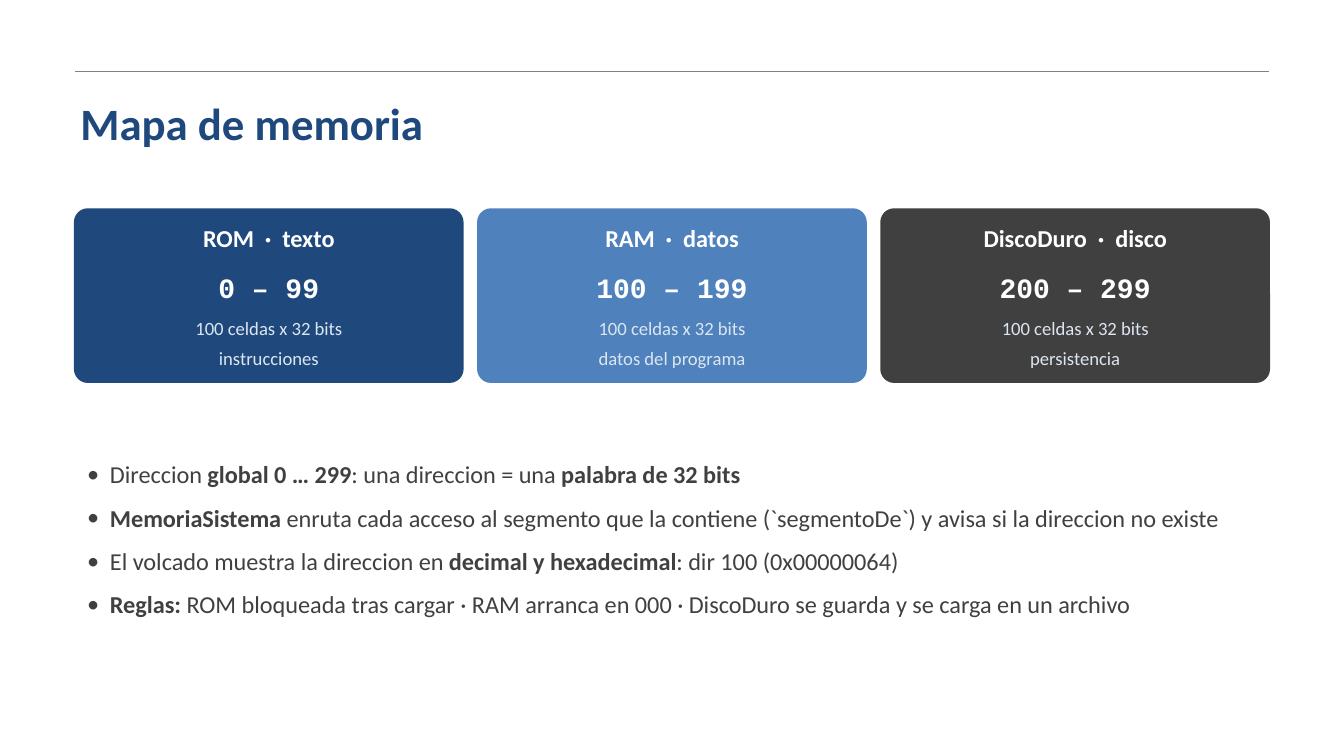
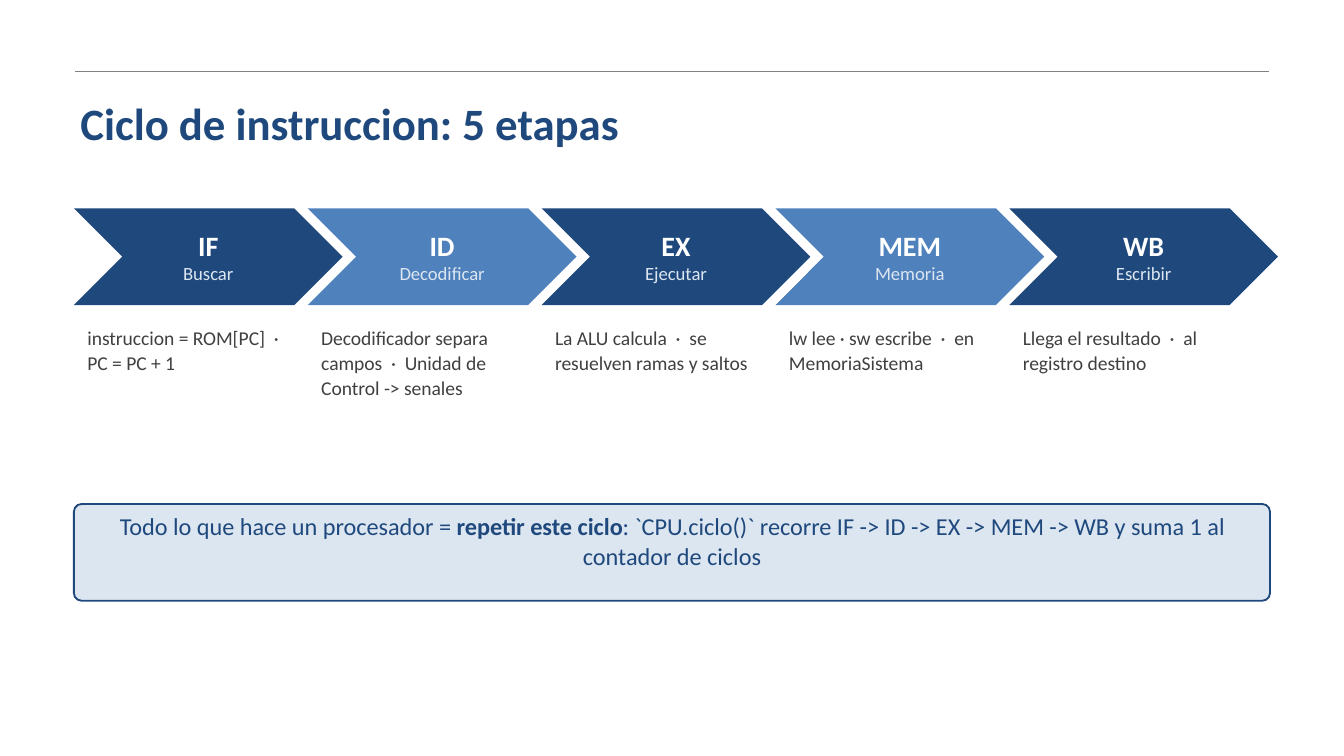
"""Build two slides on the memory map and the instruction cycle of a processor."""
from dataclasses import dataclass

import lxml.etree
import pptx
import pptx.dml.color
import pptx.enum.shapes
import pptx.enum.text
import pptx.oxml.ns
import pptx.presentation
import pptx.shapes.autoshape
import pptx.slide
import pptx.text.text
import pptx.util

Inches = pptx.util.Inches
Pt = pptx.util.Pt
Align = pptx.enum.text.PP_ALIGN
Anchor = pptx.enum.text.MSO_ANCHOR
Preset = pptx.enum.shapes.MSO_SHAPE


@dataclass(frozen=True)
class Theme:
    """Colours, fonts and type sizes of both slides."""

    navy: str = "1F497D"
    blue: str = "4F81BD"
    pale: str = "DCE6F1"
    dark: str = "404040"
    grey: str = "808080"
    white: str = "FFFFFF"
    sans: str = "Calibri"
    mono: str = "Courier New"
    title: float = 24
    large: float = 15
    body: float = 13
    note: float = 10.5
    small: float = 10


THEME = Theme()


@dataclass(frozen=True)
class Style:
    """Look of the runs and spacing of a paragraph."""

    size: float
    color: str
    bold: bool = False
    font: str = THEME.sans
    align: Align = Align.LEFT
    line: float | pptx.util.Length | None = None
    after: float = 0


@dataclass(frozen=True)
class Box:
    """Place of a shape in inches."""

    left: float
    top: float
    width: float
    height: float

    def lengths(self) -> list[pptx.util.Length]:
        """Return the place as lengths."""
        return [Inches(v) for v in (self.left, self.top, self.width, self.height)]


@dataclass(frozen=True)
class Segment:
    """One segment of the memory map."""

    heading: str
    addresses: str
    purpose: str
    color: str


@dataclass(frozen=True)
class Stage:
    """One stage of the instruction cycle."""

    code: str
    action: str
    detail: str


TITLE = Style(THEME.title, THEME.navy, True, line=Pt(26))
HEADING = Style(THEME.body, THEME.white, True, align=Align.CENTER, line=1.05)
ADDRESSES = Style(THEME.large, THEME.white, True, THEME.mono, Align.CENTER, 1.05)
CAPTION = Style(THEME.small, THEME.pale, align=Align.CENTER, line=1.05)
POINT = Style(THEME.body, THEME.dark, line=1.1, after=6)
CODE = Style(THEME.large, THEME.white, True, align=Align.CENTER)
ACTION = Style(THEME.small, THEME.pale, align=Align.CENTER)
DETAIL = Style(THEME.note, THEME.dark, line=1.05)
SUMMARY = Style(THEME.body, THEME.navy, align=Align.CENTER, after=3)

LEFT, TOP, WIDTH = 0.55, 1.55, 8.9
SEGMENT_STEP = 3
STAGE_STEP = 1.74
BULLET_INDENT = Inches(0.17)

SEGMENTS = (
    Segment("ROM  ·  texto", "0 – 99", "instrucciones", THEME.navy),
    Segment("RAM  ·  datos", "100 – 199", "datos del programa", THEME.blue),
    Segment("DiscoDuro  ·  disco", "200 – 299", "persistencia", THEME.dark),
)
POINTS = (
    "Direccion **global 0 … 299**: una direccion = una **palabra de 32 bits**",
    "**MemoriaSistema** enruta cada acceso al segmento que la contiene "
    "(`segmentoDe`) y avisa si la direccion no existe",
    "El volcado muestra la direccion en **decimal y hexadecimal**: dir 100 (0x00000064)",
    "**Reglas:** ROM bloqueada tras cargar · RAM arranca en 000 · "
    "DiscoDuro se guarda y se carga en un archivo",
)
STAGES = (
    Stage("IF", "Buscar", "instruccion = ROM[PC]  ·  PC = PC + 1"),
    Stage("ID", "Decodificar",
          "Decodificador separa campos  ·  Unidad de Control -> senales"),
    Stage("EX", "Ejecutar", "La ALU calcula  ·  se resuelven ramas y saltos"),
    Stage("MEM", "Memoria", "lw lee · sw escribe  ·  en MemoriaSistema"),
    Stage("WB", "Escribir", "Llega el resultado  ·  al registro destino"),
)
CYCLE = (
    "Todo lo que hace un procesador = **repetir este ciclo**: `CPU.ciclo()` recorre "
    "IF -> ID -> EX -> MEM -> WB y suma 1 al contador de ciclos"
)


def rgb(color: str) -> pptx.dml.color.RGBColor:
    """Turn a hex string into a colour."""
    return pptx.dml.color.RGBColor.from_string(color)


def add_bullet(paragraph: pptx.text.text._Paragraph) -> None:
    """Give a paragraph a hanging bullet."""
    properties = paragraph._p.get_or_add_pPr()
    properties.set("marL", str(BULLET_INDENT))
    properties.set("indent", str(-BULLET_INDENT))
    for tag, attribute, value in (("a:buFont", "typeface", THEME.sans),
                                  ("a:buChar", "char", "•")):
        lxml.etree.SubElement(properties, pptx.oxml.ns.qn(tag)).set(attribute, value)


def write(frame: pptx.text.text.TextFrame, lines: list[tuple[str, Style]],
          bulleted: bool = False) -> None:
    """Fill a frame with styled lines, where ** switches bold."""
    frame.word_wrap = True
    for index, (text, style) in enumerate(lines):
        paragraph = frame.add_paragraph() if index else frame.paragraphs[0]
        if bulleted:
            add_bullet(paragraph)
        paragraph.alignment = style.align
        paragraph.line_spacing = style.line
        paragraph.space_after = Pt(style.after)
        for position, part in enumerate(text.split("**")):
            if not part:
                continue
            run = paragraph.add_run()
            run.text = part
            run.font.name = style.font
            run.font.size = Pt(style.size)
            run.font.bold = style.bold or position % 2 == 1
            run.font.color.rgb = rgb(style.color)


def set_margins(frame: pptx.text.text.TextFrame, side: float, vertical: float) -> None:
    """Set the insets of a frame in inches."""
    frame.margin_left = frame.margin_right = Inches(side)
    frame.margin_top = frame.margin_bottom = Inches(vertical)


def add_label(slide: pptx.slide.Slide, box: Box, text: str, style: Style) -> None:
    """Add a text box without insets."""
    frame = slide.shapes.add_textbox(*box.lengths()).text_frame
    set_margins(frame, 0, 0)
    write(frame, [(text, style)])


def add_panel(slide: pptx.slide.Slide, preset: Preset, box: Box, fill: str,
              outline: str | None = None) -> pptx.shapes.autoshape.Shape:
    """Add a flat filled shape, outlined on request."""
    panel = slide.shapes.add_shape(preset, *box.lengths())
    panel.shadow.inherit = False
    panel.fill.solid()
    panel.fill.fore_color.rgb = rgb(fill)
    if preset == Preset.ROUNDED_RECTANGLE:
        panel.adjustments[0] = 0.08
    if outline:
        panel.line.color.rgb = rgb(outline)
        panel.line.width = Pt(1)
    else:
        panel.line.fill.background()
    return panel


def add_titled_slide(deck: pptx.presentation.Presentation, title: str) -> pptx.slide.Slide:
    """Add a blank slide with the top rule and the title."""
    slide = deck.slides.add_slide(deck.slide_layouts[6])
    rule = slide.shapes.add_connector(
        pptx.enum.shapes.MSO_CONNECTOR.STRAIGHT,
        Inches(0.56), Inches(0.53), Inches(9.44), Inches(0.53))
    rule.line.color.rgb = rgb(THEME.grey)
    rule.line.width = Pt(0.75)
    lxml.etree.SubElement(rule._element.spPr, pptx.oxml.ns.qn("a:effectLst"))
    frame = slide.shapes.add_textbox(*Box(0.5, 0.75, 9, 0.37).lengths()).text_frame
    frame.vertical_anchor = Anchor.MIDDLE
    write(frame, [(title, TITLE)])
    return slide


def add_segment(slide: pptx.slide.Slide, left: float, segment: Segment) -> None:
    """Draw one memory segment card."""
    add_panel(slide, Preset.ROUNDED_RECTANGLE, Box(left, TOP, 2.9, 1.3), segment.color)
    for top, text, style in (
        (1.65, segment.heading, HEADING),
        (2, segment.addresses, ADDRESSES),
        (2.35, "100 celdas x 32 bits", CAPTION),
        (2.57, segment.purpose, CAPTION),
    ):
        add_label(slide, Box(left + 0.05, top, 2.8, 0.3), text, style)


def add_stage(slide: pptx.slide.Slide, left: float, stage: Stage, color: str) -> None:
    """Draw one stage arrow and its detail."""
    arrow = add_panel(slide, Preset.CHEVRON, Box(left, TOP, 2, 0.72), color)
    arrow.text_frame.vertical_anchor = Anchor.MIDDLE
    write(arrow.text_frame, [(stage.code, CODE), (stage.action, ACTION)])
    add_label(slide, Box(left + 0.1, 2.42, 1.62, 1.1), stage.detail, DETAIL)


def build_memory_map(deck: pptx.presentation.Presentation) -> None:
    """Build the memory map slide."""
    slide = add_titled_slide(deck, "Mapa de memoria")
    for index, segment in enumerate(SEGMENTS):
        add_segment(slide, LEFT + index * SEGMENT_STEP, segment)
    points = slide.shapes.add_textbox(*Box(LEFT, 3.35, WIDTH, 1.6).lengths())
    write(points.text_frame, [(point, POINT) for point in POINTS], bulleted=True)


def build_cycle(deck: pptx.presentation.Presentation) -> None:
    """Build the instruction cycle slide."""
    slide = add_titled_slide(deck, "Ciclo de instruccion: 5 etapas")
    for index, stage in enumerate(STAGES):
        color = THEME.blue if index % 2 else THEME.navy
        add_stage(slide, LEFT + index * STAGE_STEP, stage, color)
    summary = add_panel(slide, Preset.ROUNDED_RECTANGLE, Box(LEFT, 3.75, WIDTH, 0.72),
                        THEME.pale, THEME.navy)
    set_margins(summary.text_frame, 0.07, 0.04)
    summary.text_frame.vertical_anchor = Anchor.TOP
    write(summary.text_frame, [(CYCLE, SUMMARY)])


def main() -> None:
    """Build and save the deck."""
    deck = pptx.Presentation()
    deck.slide_width = Inches(10)
    deck.slide_height = Inches(10 * 9 / 16)
    build_memory_map(deck)
    build_cycle(deck)
    deck.save("out.pptx")


if __name__ == "__main__":
    main()
